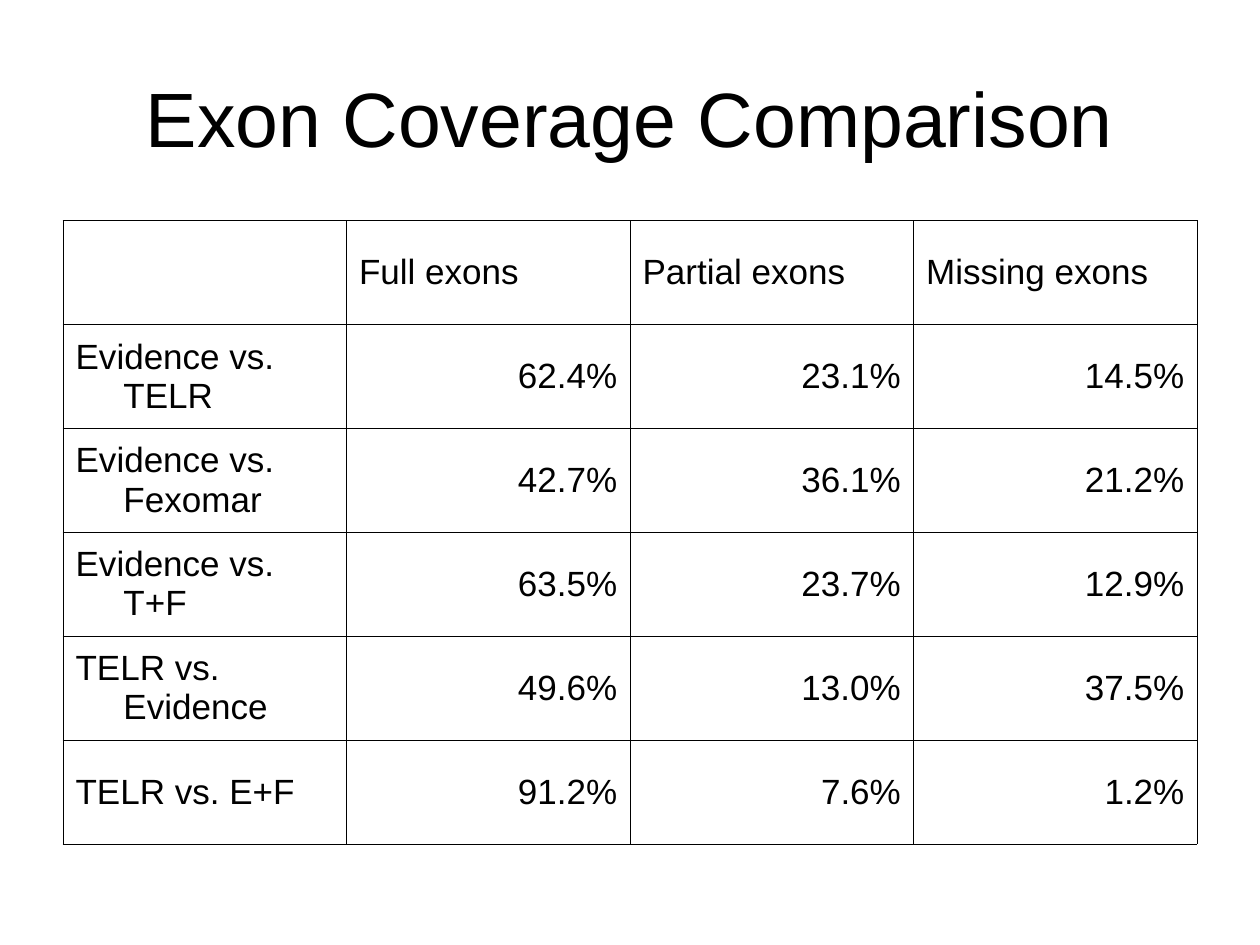
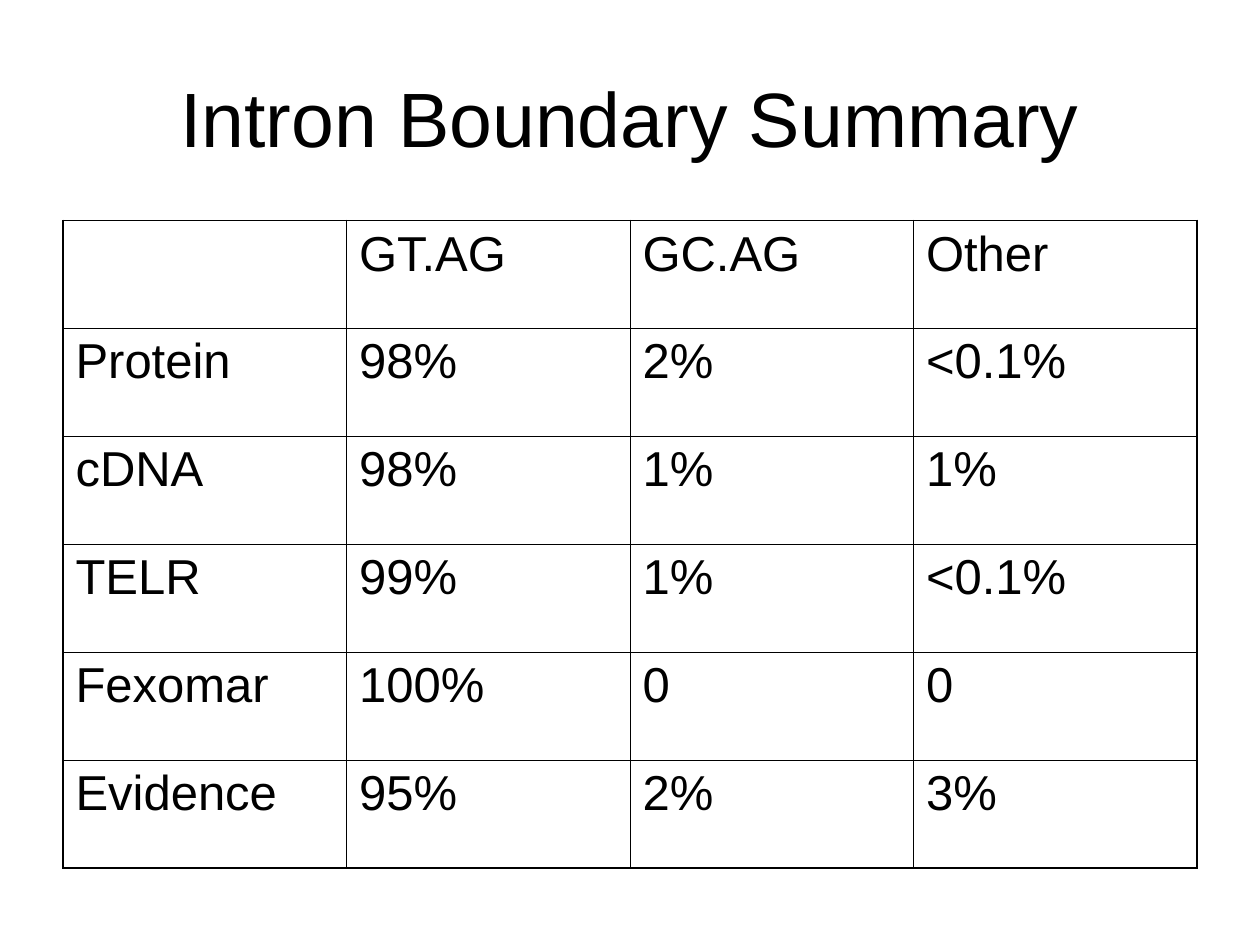
from lxml import etree
from pptx import Presentation, util as u
from pptx.dml.color import RGBColor
from pptx.enum import text
from pptx.oxml.ns import qn

INK = "000000"
FONT = "Arial"
LEFT, WIDTH = 0.5, 9
THIN, THICK = 0.45, 1.08

EXON_ROWS = [
    ["", "Full exons", "Partial exons", "Missing exons"],
    ["Evidence vs. TELR", "62.4%", "23.1%", "14.5%"],
    ["Evidence vs. Fexomar", "42.7%", "36.1%", "21.2%"],
    ["Evidence vs. T+F", "63.5%", "23.7%", "12.9%"],
    ["TELR vs. Evidence", "49.6%", "13.0%", "37.5%"],
    ["TELR vs. E+F", "91.2%", "7.6%", "1.2%"],
]
INTRON_ROWS = [
    ["", "GT.AG", "GC.AG", "Other"],
    ["Protein", "98%", "2%", "<0.1%"],
    ["cDNA", "98%", "1%", "1%"],
    ["TELR", "99%", "1%", "<0.1%"],
    ["Fexomar", "100%", "0", "0"],
    ["Evidence", "95%", "2%", "3%"],
]


def color(hex_code):
    return RGBColor.from_string(hex_code)


def set_attrs(obj, values):
    for name, value in values.items():
        setattr(obj, name, value)


def write(p, content, size, align=text.PP_ALIGN.LEFT, before=0):
    set_attrs(p, {"alignment": align, "space_before": u.Pt(before)})
    r = p.add_run()
    r.text = content
    set_attrs(r.font, {"name": FONT, "size": u.Pt(size)})
    r.font.color.rgb = color(INK)


def add_title(slide, content):
    box = slide.shapes.add_textbox(*map(u.Inches, (LEFT, 0.3, WIDTH, 1.25)))
    tf = box.text_frame
    set_attrs(tf, {"word_wrap": True, "vertical_anchor": text.MSO_ANCHOR.MIDDLE})
    write(tf.paragraphs[0], content, 44, text.PP_ALIGN.CENTER)


def set_borders(cell, widths):
    tc_pr = cell._tc.get_or_add_tcPr()
    for side, width in zip("LRTB", widths):
        ln = etree.SubElement(tc_pr, qn(f"a:ln{side}"), w=str(u.Pt(width)))
        fill = etree.SubElement(ln, qn("a:solidFill"))
        etree.SubElement(fill, qn("a:srgbClr"), val=INK)


def add_grid(slide, rows, height, size, edge=THIN, before=0, hanging=0,
             anchor=text.MSO_ANCHOR.TOP, value_align=text.PP_ALIGN.LEFT):
    n_rows, n_cols = len(rows), len(rows[0])
    box = map(u.Inches, (LEFT, 1.75, WIDTH, height))
    table = slide.shapes.add_table(n_rows, n_cols, *box).table
    set_attrs(table, {"first_row": False, "horz_banding": False})
    for i, row in enumerate(rows):
        for j, content in enumerate(row):
            cell = table.cell(i, j)
            cell.vertical_anchor = anchor
            outer = (j == 0, j == n_cols - 1, i == 0, i == n_rows - 1)
            set_borders(cell, [edge if side else THIN for side in outer])
            cell.fill.background()
            if not content:
                continue
            p = cell.text_frame.paragraphs[0]
            align = value_align if i and j else text.PP_ALIGN.LEFT
            write(p, content, size, align, before)
            if hanging:
                p_pr = p._p.get_or_add_pPr()
                p_pr.set("marL", str(u.Inches(hanging)))
                p_pr.set("indent", str(-u.Inches(hanging)))


def main():
    prs = Presentation()
    set_attrs(prs, {"slide_width": u.Inches(10), "slide_height": u.Inches(7.5)})
    slides = [
        ("Exon Coverage Comparison", EXON_ROWS,
         {"height": 4.95, "size": 20, "hanging": 0.38,
          "anchor": text.MSO_ANCHOR.MIDDLE, "value_align": text.PP_ALIGN.RIGHT}),
        ("Intron Boundary Summary", INTRON_ROWS,
         {"height": 5.14, "size": 28, "edge": THICK, "before": 7}),
    ]
    for title, rows, style in slides:
        slide = prs.slides.add_slide(prs.slide_layouts[6])
        add_title(slide, title)
        add_grid(slide, rows, **style)
    prs.save("out.pptx")


if __name__ == "__main__":
    main()
